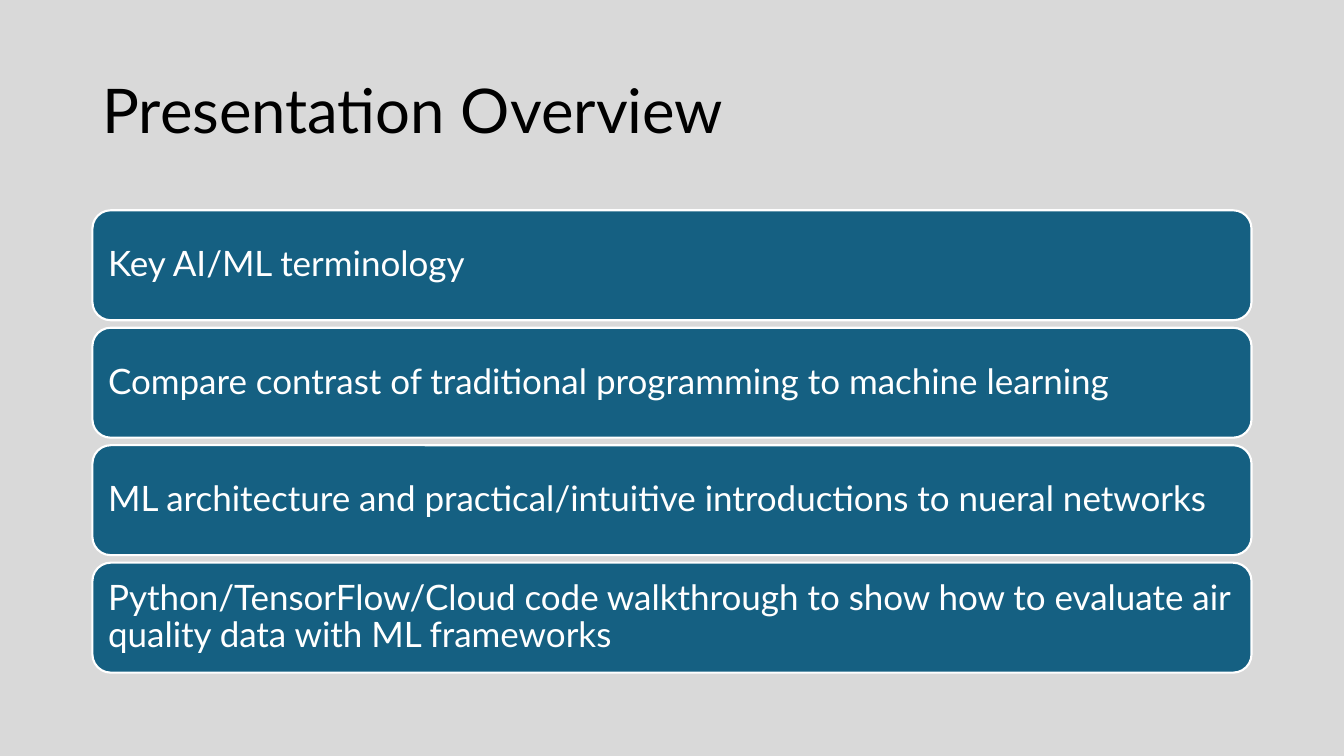
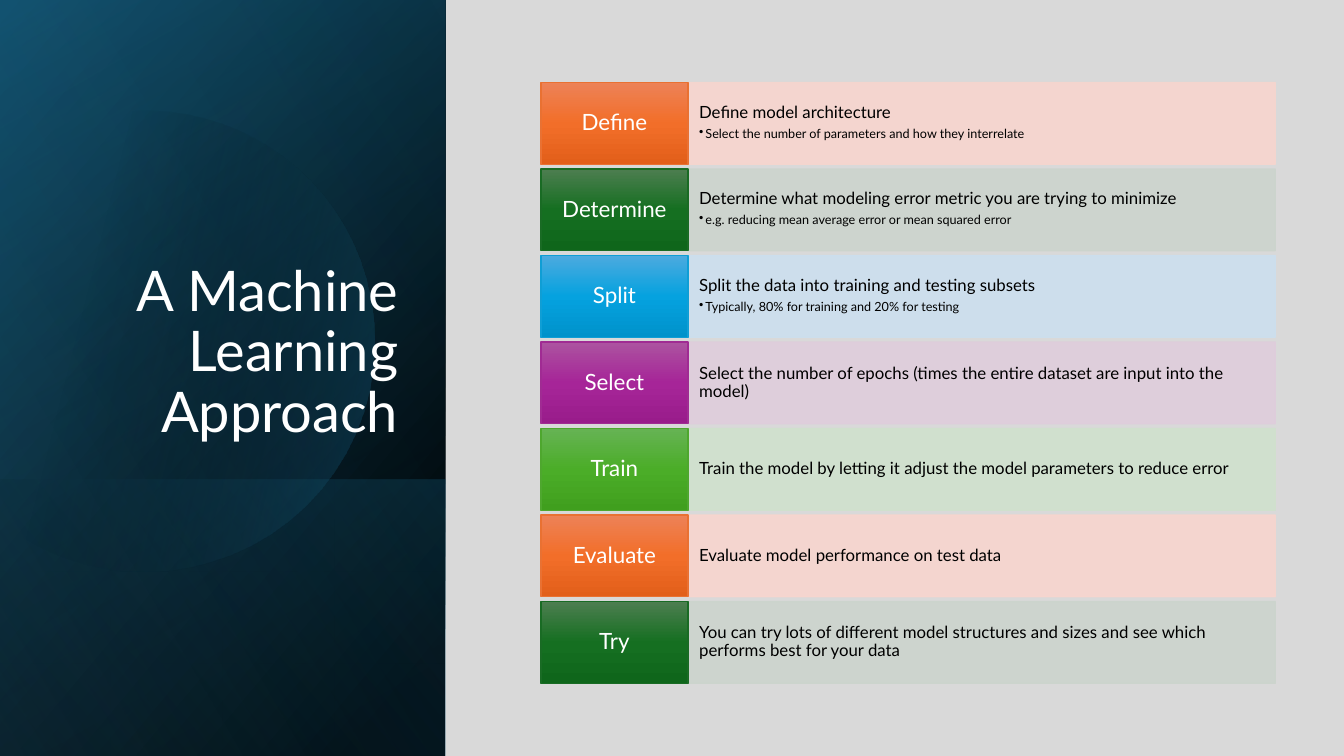
from lxml.etree import SubElement
from pptx import Presentation
from pptx.dml.color import RGBColor
from pptx.enum.shapes import MSO_SHAPE
from pptx.enum.text import MSO_ANCHOR, PP_ALIGN
from pptx.oxml import parse_xml
from pptx.oxml.ns import nsdecls, qn
from pptx.util import Cm, Pt

FONT = "Lato"
BLACK, WHITE, BACKDROP, BLUE = "000000", "FFFFFF", "D9D9D9", "156082"
WIDTH, HEIGHT = 33.87, 19.05  # all lengths are in cm

TOPICS = [
    "Key AI/ML terminology",
    "Compare contrast of traditional programming to machine learning",
    "ML architecture and practical/intuitive introductions to nueral networks",
    "Python/TensorFlow/Cloud code walkthrough to show how to evaluate air "
    "quality data with ML frameworks",
]
# label, description, optional detail
STEPS = [
    ("Define", "Define model architecture",
     "Select the number of parameters and how they interrelate"),
    ("Determine", "Determine what modeling error metric you are trying to minimize",
     "e.g. reducing mean average error or mean squared error"),
    ("Split", "Split the data into training and testing subsets",
     "Typically, 80% for training and 20% for testing"),
    ("Select", "Select the number of epochs (times the entire dataset are input "
     "into the model)", None),
    ("Train", "Train the model by letting it adjust the model parameters to "
     "reduce error", None),
    ("Evaluate", "Evaluate model performance on test data", None),
    ("Try", "You can try lots of different model structures and sizes and see "
     "which performs best for your data", None),
]
# gradient from top to bottom, outline, pale tint
STEP_COLOURS = [
    (("ED8257", "F26E29", "E25F1A"), "E97132", "F7D5CE"),
    (("4D7E50", "156F21", "0F661B"), "196B24", "CCD4CD"),
    (("4CAADF", "05A2DF", "0092CB"), "0F9ED5", "CCDFEF"),
    (("AC53A0", "A62598", "991C8B"), "A02B93", "DFCDDC"),
    (("66B354", "4BAD28", "409F1E"), "4EA72E", "D0E1CD"),
]
PANEL_WIDTH = 11.22
# top, height, angle, stops (position, colour, opacity), all in percent
BASE_LAYERS = [
    (0, HEIGHT, 50, [(8, BLACK, 100), (100, "104862", 100)]),
    (0, HEIGHT, 30, [(0, BLACK, 0), (99, BLUE, 46)]),
    (12.09, 6.96, 130, [(2, BLUE, 29), (100, BLACK, 30)]),
]
GLOW_STOPS = [(29, BLACK, 0), (100, BLUE, 43)]
TOP_LAYER = (0, HEIGHT, 120, [(0, BLACK, 0), (99, "46B1E1", 11)])
# clipped disc: start point, then cubic curves (3 points) or straight lines (1 point)
GLOW_START = (3.78, 2.79)
GLOW_SEGMENTS = [
    [(6.25, 2.84), (8.51, 4.5), (9.22, 6.99)],
    [(10.11, 10.08), (8.33, 13.29), (5.26, 14.17)],
    [(3.33, 14.73), (1.35, 14.25), (-0.08, 13.06)],
    [(-0.38, 12.78)],
    [(-0.38, 4.45)],
    [(0, 4.09)],
    [(1.07, 3.61), (1.27, 3.23), (2.03, 3.02)],
    [(2.62, 2.87), (3.2, 2.79), (3.78, 2.79)],
]


def rgb(colour):
    return RGBColor.from_string(colour)


def gradient(shape, stops, angle):
    shape.fill.background()
    gs = "".join(
        f'<a:gs pos="{pos * 1000}"><a:srgbClr val="{colour}">'
        f'<a:alpha val="{opacity * 1000}"/></a:srgbClr></a:gs>'
        for pos, colour, opacity in stops)
    spPr = shape._element.spPr
    spPr.replace(spPr.find(qn("a:noFill")), parse_xml(
        f'<a:gradFill {nsdecls("a")} rotWithShape="1"><a:gsLst>{gs}</a:gsLst>'
        f'<a:lin ang="{angle * 60000}" scaled="0"/></a:gradFill>'))


def add_box(s, kind, left, top, width, height, fill=None, line=None, weight=1):
    sp = s.shapes.add_shape(kind, Cm(left), Cm(top), Cm(width), Cm(height))
    sp.shadow.inherit = False
    if fill:
        sp.fill.solid()
        sp.fill.fore_color.rgb = rgb(fill)
    if line:
        sp.line.color.rgb = rgb(line)
        sp.line.width = Pt(weight)
    else:
        sp.line.fill.background()
    return sp


def set_margins(tf, side, end):
    tf.margin_left = tf.margin_right = Cm(side)
    tf.margin_top = tf.margin_bottom = Cm(end)


def write(p, text, size, colour, align=PP_ALIGN.LEFT):
    p.alignment = align
    p.line_spacing = 0.9
    r = p.add_run()
    r.text = text
    r.font.name = FONT
    r.font.size = Pt(size)
    r.font.color.rgb = rgb(colour)


def set_title(s, text, left, top, width, height, size, colour, align, anchor):
    title = s.shapes.title
    title.left, title.top = Cm(left), Cm(top)
    title.width, title.height = Cm(width), Cm(height)
    tf = title.text_frame
    tf.word_wrap = True
    tf.vertical_anchor = anchor
    write(tf.paragraphs[0], text, size, colour, align)
    title._element.getparent().append(title._element)  # bring to front


def add_layer(s, top, height, angle, stops):
    """Add a panel layer as a mirrored rectangle turned by a quarter."""
    shift = (PANEL_WIDTH - height) / 2
    sp = add_box(s, MSO_SHAPE.RECTANGLE, shift, top - shift, height, PANEL_WIDTH)
    sp.rotation = 90
    sp._element.spPr.find(qn("a:xfrm")).set("flipH", "1")
    gradient(sp, stops, angle)


def curve_points(start, c1, c2, end, steps=16):
    for i in range(1, steps + 1):
        t = i / steps
        u = 1 - t
        yield tuple(u**3 * a + 3 * u * u * t * b + 3 * u * t * t * c + t**3 * d
                    for a, b, c, d in zip(start, c1, c2, end))


def add_glow(s):
    points = [GLOW_START]
    for segment in GLOW_SEGMENTS:
        points += segment if len(segment) == 1 else curve_points(points[-1], *segment)
    emu = [(Cm(x), Cm(y)) for x, y in points]
    builder = s.shapes.build_freeform(*emu[0])
    builder.add_line_segments(emu[1:], close=True)
    sp = builder.convert_to_shape()
    sp.shadow.inherit = False
    sp.line.fill.background()
    gradient(sp, GLOW_STOPS, 14)


def add_step(s, top, step, colours):
    label, description, detail = step
    shades, outline, tint = colours
    height, left, split, right = 2.06, 13.63, 17.34, 32.14

    sp = add_box(s, MSO_SHAPE.RECTANGLE, split, top, right - split, height, tint, tint)
    for clr in sp._element.spPr.iter(qn("a:srgbClr")):
        SubElement(clr, qn("a:alpha")).set("val", "90000")
    tf = sp.text_frame
    set_margins(tf, 0.28, 0.53)
    tf.vertical_anchor = MSO_ANCHOR.TOP if detail else MSO_ANCHOR.MIDDLE
    write(tf.paragraphs[0], description, 12, BLACK)
    if detail:
        tf.paragraphs[0].space_after = Pt(4)
        p = tf.add_paragraph()
        p.level = 1
        pPr = p._p.get_or_add_pPr()
        pPr.set("marL", str(Cm(0.16)))
        pPr.set("indent", str(-Cm(0.16)))
        SubElement(pPr, qn("a:buChar")).set("char", "•")
        write(p, detail, 9, BLACK)

    sp = add_box(s, MSO_SHAPE.RECTANGLE, left, top, split - left, height, line=outline)
    gradient(sp, [(pos, c, 100) for pos, c in zip((0, 50, 100), shades)], 90)
    set_margins(sp.text_frame, 0.2, 0.2)
    sp.text_frame.vertical_anchor = MSO_ANCHOR.MIDDLE
    write(sp.text_frame.paragraphs[0], label, 16, WHITE, PP_ALIGN.CENTER)


def build_overview(s):
    left, width = 2.33, 29.21
    set_title(s, "Presentation Overview", left, 1.01, width, 3.68, 44, BLACK,
              PP_ALIGN.LEFT, MSO_ANCHOR.MIDDLE)
    for i, topic in enumerate(TOPICS):
        sp = add_box(s, MSO_SHAPE.ROUNDED_RECTANGLE, left, 5.3 + i * 2.96, width, 2.77,
                     BLUE, WHITE, 1.5)
        set_margins(sp.text_frame, 0.26, 0.26)
        sp.text_frame.vertical_anchor = MSO_ANCHOR.MIDDLE
        write(sp.text_frame.paragraphs[0], topic, 25, WHITE)


def build_approach(s):
    for layer in BASE_LAYERS:
        add_layer(s, *layer)
    add_glow(s)
    add_layer(s, *TOP_LAYER)
    set_title(s, "A Machine Learning Approach", 1.63, 4.67, 8.66, 6.65, 40, WHITE,
              PP_ALIGN.RIGHT, MSO_ANCHOR.BOTTOM)
    for i, step in enumerate(STEPS):
        add_step(s, 2.08 + i * 2.18, step, STEP_COLOURS[i % len(STEP_COLOURS)])


def main():
    prs = Presentation()
    prs.slide_width, prs.slide_height = Cm(WIDTH), Cm(HEIGHT)
    fill = prs.slide_master.background.fill
    fill.solid()
    fill.fore_color.rgb = rgb(BACKDROP)
    for build in (build_overview, build_approach):
        build(prs.slides.add_slide(prs.slide_layouts[5]))
    prs.save("out.pptx")


if __name__ == "__main__":
    main()
